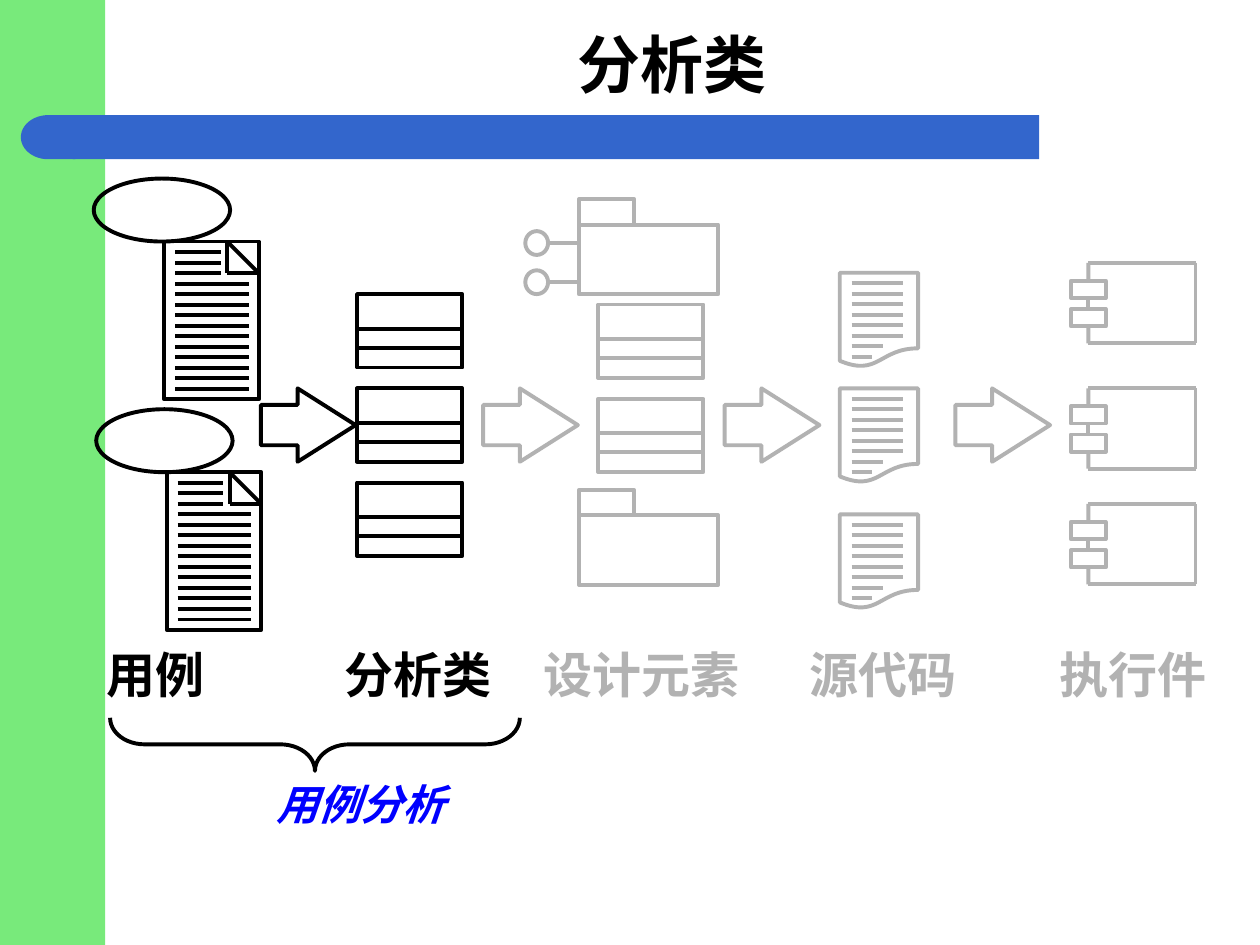
import pptx
import pptx.dml.color
import pptx.enum.shapes
import pptx.enum.text
import pptx.util
import lxml.etree

Cm = pptx.util.Cm
SHAPE = pptx.enum.shapes.MSO_SHAPE
ALIGN = pptx.enum.text.PP_ALIGN
BLACK, GRAY, BLUE, GREEN, CAPTION = "000000", "B2B2B2", "3366CC", "78EA7B", "0000FF"


def rgb(hex_color):
    return pptx.dml.color.RGBColor.from_string(hex_color)


def draw_shape(shapes, kind, box, line=None, fill=None):
    shape = shapes.add_shape(kind, *[Cm(length) for length in box])
    shape.shadow.inherit = False
    if fill:
        shape.fill.solid()
        shape.fill.fore_color.rgb = rgb(fill)
    else:
        shape.fill.background()
    if line:
        shape.line.color.rgb = rgb(line)
        shape.line.width = pptx.util.Pt(2.25)
    else:
        shape.line.fill.background()
    return shape


def draw_line(shapes, x1, y1, x2, y2, color):
    line = shapes.add_connector(
        pptx.enum.shapes.MSO_CONNECTOR.STRAIGHT, Cm(x1), Cm(y1), Cm(x2), Cm(y2))
    line.line.color.rgb = rgb(color)
    line.line.width = pptx.util.Pt(2.25)
    properties = line._element.spPr
    lxml.etree.SubElement(properties, pptx.oxml.ns.qn("a:effectLst"))
    return line


def write_text(holder, text, size, color, font="Arial", italic=False,
               align=ALIGN.CENTER, wrap=True, margins=(0.25, 0.13), before=0):
    frame = holder.text_frame
    frame.word_wrap = wrap
    frame.margin_left = frame.margin_right = Cm(margins[0])
    frame.margin_top = frame.margin_bottom = Cm(margins[1])
    paragraph = frame.paragraphs[0]
    paragraph.alignment = align
    paragraph.space_before = pptx.util.Pt(before)
    run = paragraph.add_run()
    run.text = text
    run.font.name = font
    run.font.size = pptx.util.Pt(size)
    run.font.bold = True
    run.font.italic = italic
    run.font.color.rgb = rgb(color)


def add_label(slide, box, text, size, color, **text_format):
    label = slide.shapes.add_textbox(*[Cm(length) for length in box])
    label.text_frame.auto_size = pptx.enum.text.MSO_AUTO_SIZE.SHAPE_TO_FIT_TEXT
    write_text(label, text, size, color, **text_format)


def new_group(slide):
    return slide.shapes.add_group_shape().shapes


def add_heading(slide, box, text):
    title = slide.shapes.title
    title.left, title.top, title.width, title.height = [Cm(length) for length in box]
    title.text_frame.vertical_anchor = pptx.enum.text.MSO_ANCHOR.MIDDLE
    write_text(title, text, 36, BLACK, font="Times New Roman")


def add_backdrop(slide, left, top, width, height):
    draw_shape(slide.shapes, SHAPE.RECTANGLE, (0, 0, 2.12, 19.05), fill=GREEN)
    banner = new_group(slide)
    draw_shape(banner, SHAPE.RECTANGLE, (left + 1.05, top, width - 1.05, height), fill=BLUE)
    cap = draw_shape(banner, SHAPE.FLOWCHART_DELAY, (left, top, 1.1, height), fill=BLUE)
    cap.rotation = 180


def add_text_rows(shapes, left, top, gap, widths, color):
    for row, width in enumerate(widths, 1):
        y = top + row * gap
        draw_line(shapes, left, y, left + width, y, color)


def add_use_case(slide, left, top):
    group = new_group(slide)
    draw_shape(group, SHAPE.OVAL, (left, top, 2.75, 1.27), BLACK)
    page_left, page_top, page_width, page_height = left + 1.42, top + 1.27, 1.91, 3.18
    draw_shape(group, SHAPE.RECTANGLE, (page_left, page_top, page_width, page_height), BLACK)
    right = page_left + page_width
    fold_left, fold_bottom = right - 0.64, page_top + 0.64
    draw_line(group, fold_left, page_top, right, fold_bottom, BLACK)
    draw_line(group, fold_left, page_top, fold_left, fold_bottom, BLACK)
    draw_line(group, right, fold_bottom, fold_left, fold_bottom, BLACK)
    add_text_rows(group, page_left + 0.22, page_top, page_height / 15,
                  [0.92] * 3 + [1.48] * 11, BLACK)


def add_class(slide, left, top, color, width=2.12, height=1.48):
    group = new_group(slide)
    draw_shape(group, SHAPE.RECTANGLE, (left, top, width, height), color)
    for share in (0.47, 0.73):
        y = top + share * height
        draw_line(group, left, y, left + width, y, color)


def add_package(slide, left, top, interface_tops=()):
    group = new_group(slide)
    draw_shape(group, SHAPE.RECTANGLE, (left, top + 0.51, 2.81, 1.4), GRAY)
    draw_shape(group, SHAPE.RECTANGLE, (left, top, 1.12, 0.51), GRAY)
    for offset in interface_tops:
        ball_left, ball_top = left - 1.08, top + offset
        draw_shape(group, SHAPE.OVAL, (ball_left, ball_top, 0.46, 0.48), GRAY)
        draw_line(group, ball_left + 0.46, ball_top + 0.24, left, ball_top + 0.24, GRAY)


def add_source_file(slide, left, top, width=1.58, height=1.9):
    group = new_group(slide)
    draw_shape(group, SHAPE.FLOWCHART_DOCUMENT, (left, top, width, height), GRAY)
    add_text_rows(group, left + 0.24, top, height / 9, [1.04] * 6 + [0.64, 0.4], GRAY)


def add_component(slide, left, top, width=2.51, height=1.62):
    group = new_group(slide)
    spine, right, bottom = left + 0.35, left + width, top + height
    draw_line(group, right, top, right, bottom, GRAY)
    for y in (top, bottom):
        draw_line(group, right, y, spine, y, GRAY)
    upper, lower = [draw_shape(group, SHAPE.RECTANGLE, (left, top + offset, 0.7, 0.35), GRAY)
                    for offset in (0.36, 0.93)]
    draw_line(group, spine, top, spine, top + 0.36, GRAY).end_connect(upper, 0)
    draw_line(group, spine, bottom, spine, bottom - 0.36, GRAY).end_connect(lower, 2)
    link = draw_line(group, spine, top + 0.93, spine, top + 0.71, GRAY)
    link.begin_connect(lower, 0)
    link.end_connect(upper, 2)


def add_arrow(slide, left, top, color):
    arrow = draw_shape(slide.shapes, SHAPE.RIGHT_ARROW, (left, top, 1.91, 1.48), color)
    arrow.adjustments[0], arrow.adjustments[1] = 0.55, 0.79


def add_brace(slide, left, top, width, height):
    upright = (left + (width - height) / 2, top + (height - width) / 2, height, width)
    brace = draw_shape(slide.shapes, SHAPE.LEFT_BRACE, upright, BLACK)
    brace.rotation = 270
    brace.adjustments[0] = 0.65


def main():
    deck = pptx.Presentation()
    deck.slide_width, deck.slide_height = Cm(25.4), Cm(19.05)
    slide = deck.slides.add_slide(deck.slide_layouts[5])

    add_backdrop(slide, 0.42, 2.32, 20.53, 0.89)
    add_heading(slide, (2.33, 0.42, 22.43, 1.7), "分析类")

    for left, top in ((1.89, 3.6), (1.94, 8.25)):
        add_use_case(slide, left, top)
    for row in range(3):
        add_class(slide, 7.2, 5.93 + row * 1.9, BLACK)
    add_package(slide, 11.67, 4.02, interface_tops=(0.64, 1.43))
    for row in range(2):
        add_class(slide, 12.06, 6.14 + row * 1.9, GRAY)
    add_package(slide, 11.67, 9.88)
    for top in (5.5, 7.83, 10.37):
        add_source_file(slide, 16.93, top)
    for top in (5.3, 7.83, 10.16):
        add_component(slide, 21.59, top)
    for left, color in ((5.26, BLACK), (9.74, GRAY), (14.61, GRAY), (19.26, GRAY)):
        add_arrow(slide, left, 7.83, color)

    stages = (("用例", 1.9, 2.46, BLACK), ("分析类", 6.7, 3.45, BLACK),
              ("设计元素", 10.7, 4.45, GRAY), ("源代码", 16.07, 3.45, GRAY),
              ("执行件", 21.11, 3.45, GRAY))
    for stage, left, width, color in stages:
        add_label(slide, (left, 12.87, width, 1.45), stage, 28, color,
                  wrap=False, margins=(0.2, 0.13))

    add_brace(slide, 2.22, 14.47, 8.26, 1.07)
    add_label(slide, (5.27, 15.54, 8.26, 1.32), "用例分析", 24, CAPTION, italic=True,
              align=ALIGN.LEFT, margins=(0.31, 0.15), before=15)
    deck.save("out.pptx")


if __name__ == "__main__":
    main()
